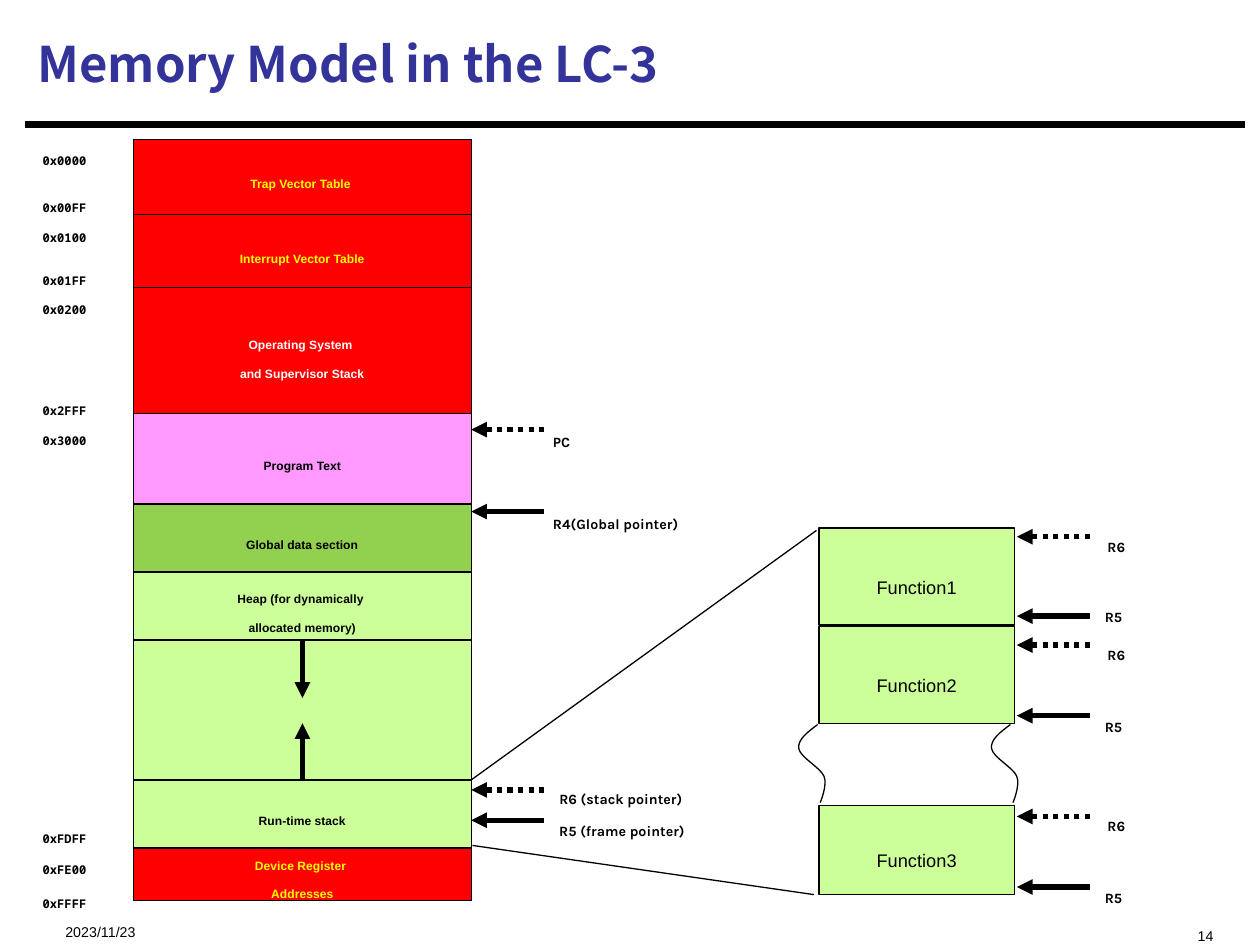
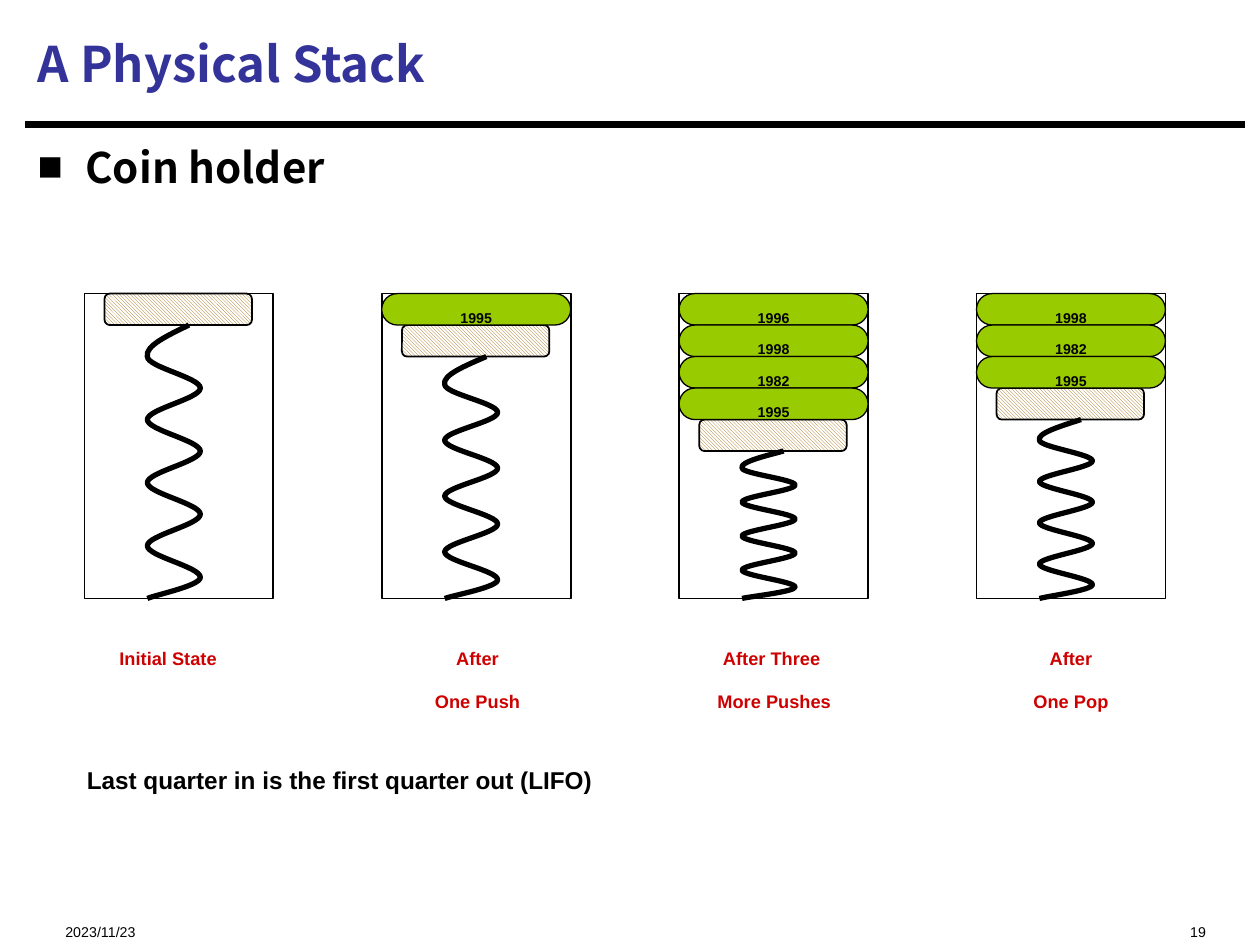
from lxml import etree
from pptx import Presentation
from pptx import util as u
from pptx.dml.color import RGBColor
from pptx.enum import dml, shapes, text
from pptx.oxml.ns import qn

COLORS = {
    "black": "000000", "white": "FFFFFF", "title": "333399", "caption": "CE0000",
    "system": "FF0000", "yellow": "FFFF00", "program": "FF99FF",
    "global": "92D050", "stack": "CCFF99", "coin": "99CC00", "hatch": "996600",
}
HEAD, BODY, MONO, LABEL = "Noto Sans CJK SC", "Arial", "Noto Sans Mono", "Karla"
LEFT, CENTER, RIGHT = text.PP_ALIGN.LEFT, text.PP_ALIGN.CENTER, text.PP_ALIGN.RIGHT
RECT = shapes.MSO_SHAPE.RECTANGLE
ROUNDED = shapes.MSO_SHAPE.ROUNDED_RECTANGLE

MEMORY = [
    (3.92, 1.16, "stack", "black", []),
    (5.59, 0.45, "system", "yellow", ["Device Register ", "Addresses"]),
    (0, 0.59, "system", "yellow", ["Trap Vector Table "]),
    (0.59, 0.59, "system", "yellow", ["Interrupt Vector Table"]),
    (1.17, 1.03, "system", "white", ["Operating System ", "and Supervisor Stack"]),
    (5.08, 0.54, "stack", "black", ["Run-time stack"]),
    (2.17, 0.72, "program", "black", ["Program Text"]),
    (2.89, 0.54, "global", "black", ["Global data section"]),
    (3.43, 0.54, "stack", "black", ["Heap (for dynamically ", "allocated memory)"]),
]
ADDRESSES = [
    ("0x0000", -0.05), ("0x00FF", 0.32), ("0x0100", 0.56), ("0x01FF", 0.9),
    ("0x0200", 1.13), ("0x2FFF", 1.93), ("0x3000", 2.17), ("0xFDFF", 5.33),
    ("0xFE00", 5.57), ("0xFFFF", 5.84),
]
POINTERS = [
    ("PC", 2.3, 2.15, 0.55, 0.43, True),
    ("R4(Global pointer)", 2.95, 2.8, 0.55, 1.72, False),
    ("R6 (stack pointer)", 5.16, 4.98, 0.6, 1.68, True),
    ("R5 (frame pointer)", 5.4, 5.24, 0.6, 1.73, False),
]
FRAMES = [
    ("Function1", 0, 0.77, 0.07, 0.7, 0.46),
    ("Function2", 0.78, 0.77, 0.15, 0.71, 0.55),
    ("Function3", 2.2, 0.71, 0.09, 0.65, 0.49),
]
HOLDERS = [
    ([], ["Initial State"], -0.11, 1.55),
    (["1995"], ["After", "One Push"], 0.07, 1.38),
    (["1996", "1998", "1982", "1995"], ["After Three ", "More Pushes"], -0.13, 1.77),
    (["1998", "1982", "1995"], ["After", "One Pop"], 0.13, 1.24),
]


def inches(*values):
    """Convert numbers to lengths."""
    return [u.Inches(v) for v in values]


def rgb(name):
    """Look up a palette colour."""
    return RGBColor.from_string(COLORS[name])


def write(tf, lines, size, color="black", font=BODY, bold=True, align=LEFT, lowered=True):
    """Fill a text frame with one paragraph per line."""
    for i, line in enumerate(lines):
        p = tf.add_paragraph() if i else tf.paragraphs[0]
        p.alignment = align
        r = p.add_run()
        r.text = line
        r.font.size, r.font.name, r.font.bold = u.Pt(size), font, bold
        r.font.color.rgb = rgb(color)
        if lowered:
            r.font._element.set("baseline", "-25000")


def add_text(s, box, lines, size, wrap=False, **style):
    """Add a text box."""
    tf = s.shapes.add_textbox(*inches(*box)).text_frame
    tf.word_wrap = wrap
    tf.auto_size = text.MSO_AUTO_SIZE.NONE if wrap else text.MSO_AUTO_SIZE.SHAPE_TO_FIT_TEXT
    write(tf, lines, size, **style)
    return tf


def add_box(s, kind, box, fill, width=0.75, lines=(), size=12, wrap=False, **style):
    """Add an outlined shape with centred text."""
    sp = s.shapes.add_shape(kind, *inches(*box))
    sp.shadow.inherit = False
    sp.fill.solid()
    sp.fill.fore_color.rgb = rgb(fill)
    sp.line.color.rgb, sp.line.width = rgb("black"), u.Pt(width)
    sp.text_frame.word_wrap = wrap
    sp.text_frame.vertical_anchor = text.MSO_ANCHOR.MIDDLE
    write(sp.text_frame, lines, size, align=CENTER, **style)
    return sp


def add_line(s, start, end, width=0.75, arrow=False, dotted=False):
    """Add a straight line, with an arrowhead at its end if asked."""
    sp = s.shapes.add_connector(shapes.MSO_CONNECTOR.STRAIGHT, *inches(*start, *end))
    sp.line.color.rgb, sp.line.width = rgb("black"), u.Pt(width)
    if dotted:
        sp.line.dash_style = dml.MSO_LINE.ROUND_DOT
    if arrow:
        etree.SubElement(sp.line._get_or_add_ln(), qn("a:tailEnd"), type="triangle")
    etree.SubElement(sp._element.spPr, qn("a:effectLst"))


def add_curve(s, start, points, width):
    """Add an open curve; every three points form one cubic segment."""
    builder = s.shapes.build_freeform(*inches(*start))
    builder.add_line_segments([inches(*point) for point in points], close=False)
    sp = builder.convert_to_shape()
    sp.shadow.inherit = False
    sp.fill.background()
    sp.line.color.rgb, sp.line.width = rgb("black"), u.Pt(width)
    steps = list(sp._element.iter(qn("a:lnTo")))
    outline = steps[0].getparent()
    for i in range(0, len(steps), 3):
        bezier = etree.SubElement(outline, qn("a:cubicBezTo"))
        for step in steps[i:i + 3]:
            bezier.append(step[0])
            outline.remove(step)


def add_pointer(s, label, x, y, label_box, dotted):
    """Add a leftward register arrow and its label."""
    add_line(s, (x + 0.58, y), (x, y), 3, arrow=True, dotted=dotted)
    add_text(s, label_box, [label], 14, font=LABEL)


def add_base(prs, title, number, number_box):
    """Add a slide with title, rule, date and page number."""
    s = prs.slides.add_slide(prs.slide_layouts[5])
    sp = s.shapes.title
    sp.left, sp.top, sp.width, sp.height = inches(0.2, 0.08, 9.67, 0.84)
    sp.text_frame.vertical_anchor = text.MSO_ANCHOR.MIDDLE
    write(sp.text_frame, [title], 28, "title", HEAD, lowered=False)
    add_line(s, (0.2, 0.99), (9.88, 0.99), 3.75)
    add_text(s, (0.42, 7.15, 2.5, 0.27), ["2023/11/23"], 14, wrap=True, bold=False)
    add_text(s, number_box, [number], 14, wrap=True, bold=False, align=RIGHT)
    return s


def add_memory(s, x, y, w):
    """Draw the memory column with addresses, growth arrows and pointers."""
    for top, h, fill, color, lines in MEMORY:
        add_box(s, RECT, (x, y + top, w, h), fill, lines=lines, color=color)
    for address, top in ADDRESSES:
        add_text(s, (x - 0.82, y + top, 0.81, 0.3), [address], 12, font=MONO)
    for start, end in ((3.98, 4.43), (5.08, 4.63)):
        add_line(s, (x + w / 2, y + start), (x + w / 2, y + end), 3, arrow=True)
    for label, at, top, dx, width, dotted in POINTERS:
        add_pointer(s, label, x + w, y + at, (x + w + dx, y + top, width, 0.34), dotted)


def add_frames(s, x, y, w):
    """Draw the stack frames, their registers and the break between them."""
    arrow_x = x + w + 0.02
    for name, top, h, r6, r5, r5_label in FRAMES:
        top += y
        add_box(s, RECT, (x, top, w, h), "stack", lines=[name], size=18, wrap=True, bold=False)
        add_pointer(s, "R6", arrow_x, top + r6,
                    (arrow_x + 0.62, top + r6 - 0.17, 0.49, 0.34), True)
        add_pointer(s, "R5", arrow_x, top + r5,
                    (arrow_x + 0.6, top + r5_label, 0.49, 0.34), False)
    wave = [(-0.09, 1.62), (-0.17, 1.68), (-0.16, 1.75), (-0.15, 1.82), (0.01, 1.9),
            (0.04, 1.97), (0.07, 2.04), (0.01, 2.18), (0.01, 2.18)]
    for edge in (x, x + w - 0.02):
        add_curve(s, (edge - 0.01, y + 1.56), [(edge + dx, y + dy) for dx, dy in wave], 0.75)


def add_spring(s, x, top, bottom):
    """Draw a spring of eight equal swings down to the floor."""
    pitch = (bottom - top) / 8.67
    near, far = x, x + 0.42
    points = [(x + 0.16, top + pitch / 3), (x - 0.02, top + pitch * 2 / 3), (near, top + pitch)]
    for i in range(1, 8):
        y = top + i * pitch
        points += [(near, y + pitch / 3), (far, y + pitch * 2 / 3), (far, y + pitch)]
        near, far = far, near
    rest = bottom - points[-1][1]
    points += [(near, bottom - rest * 0.6), (x + 0.07, bottom - rest * 0.18), (x, bottom)]
    add_curve(s, (x + 0.33, top), points, 3)


def add_holder(s, x, y, w, h, coins, caption, dx, caption_w):
    """Draw one coin holder with its plate, spring, coins and caption."""
    coin_h = 0.25
    add_box(s, RECT, (x, y, w, h), "white", 1)
    plate_y = y + len(coins) * coin_h
    plate = add_box(s, ROUNDED, (x + 0.16, plate_y, 1.17, coin_h), "white", 1)
    plate.adjustments[0] = 0.17
    plate.fill.patterned()
    plate.fill.pattern = dml.MSO_PATTERN.DARK_DOWNWARD_DIAGONAL
    plate.fill.fore_color.rgb, plate.fill.back_color.rgb = rgb("hatch"), rgb("white")
    add_spring(s, x + 0.5, plate_y + coin_h, y + h)
    for i, year in enumerate(coins):
        coin = add_box(s, ROUNDED, (x, y + i * coin_h, w, coin_h), "coin", lines=[year], size=14)
        coin.adjustments[0] = 0.5
    add_text(s, (x + dx, y + h + 0.17, caption_w, 0.09 + 0.31 * len(caption)),
             caption, 18, color="caption", align=CENTER)


def add_bullet(s, box, line):
    """Add a square-bulleted heading."""
    tf = add_text(s, box, [line], 24, wrap=True, font=HEAD, lowered=False)
    pPr = tf.paragraphs[0]._p.get_or_add_pPr()
    pPr.set("marL", str(u.Inches(0.38)))
    pPr.set("indent", str(-u.Inches(0.38)))
    before = etree.SubElement(pPr, qn("a:spcBef"))
    etree.SubElement(before, qn("a:spcPct"), val="20000")
    etree.SubElement(pPr, qn("a:buFont"), typeface=BODY)
    etree.SubElement(pPr, qn("a:buChar"), char="■")


def memory_slide(prs):
    """Build the memory model slide."""
    s = add_base(prs, "Memory Model in the LC-3", "14", (6.73, 7.18, 3, 0.27))
    add_memory(s, 1.06, 1.11, 2.68)
    add_frames(s, 6.5, 4.19, 1.55)
    add_line(s, (3.74, 6.19), (6.48, 4.21))
    add_line(s, (3.75, 6.71), (6.46, 7.1))


def stack_slide(prs):
    """Build the coin holder slide."""
    s = add_base(prs, "A Physical Stack", "19", (6.67, 7.15, 3, 0.27))
    add_bullet(s, (0.2, 1.07, 9.67, 0.71), "Coin holder")
    add_text(s, (0.59, 5.8, 7.12, 0.5), ["Last quarter in is the first quarter out (LIFO)"], 24)
    for i, holder in enumerate(HOLDERS):
        add_holder(s, 0.67 + i * 2.36, 2.33, 1.5, 2.42, *holder)


def main():
    """Build and save the presentation."""
    prs = Presentation()
    prs.slide_width, prs.slide_height = inches(10, 7.5)
    memory_slide(prs)
    stack_slide(prs)
    prs.save("out.pptx")


if __name__ == "__main__":
    main()
